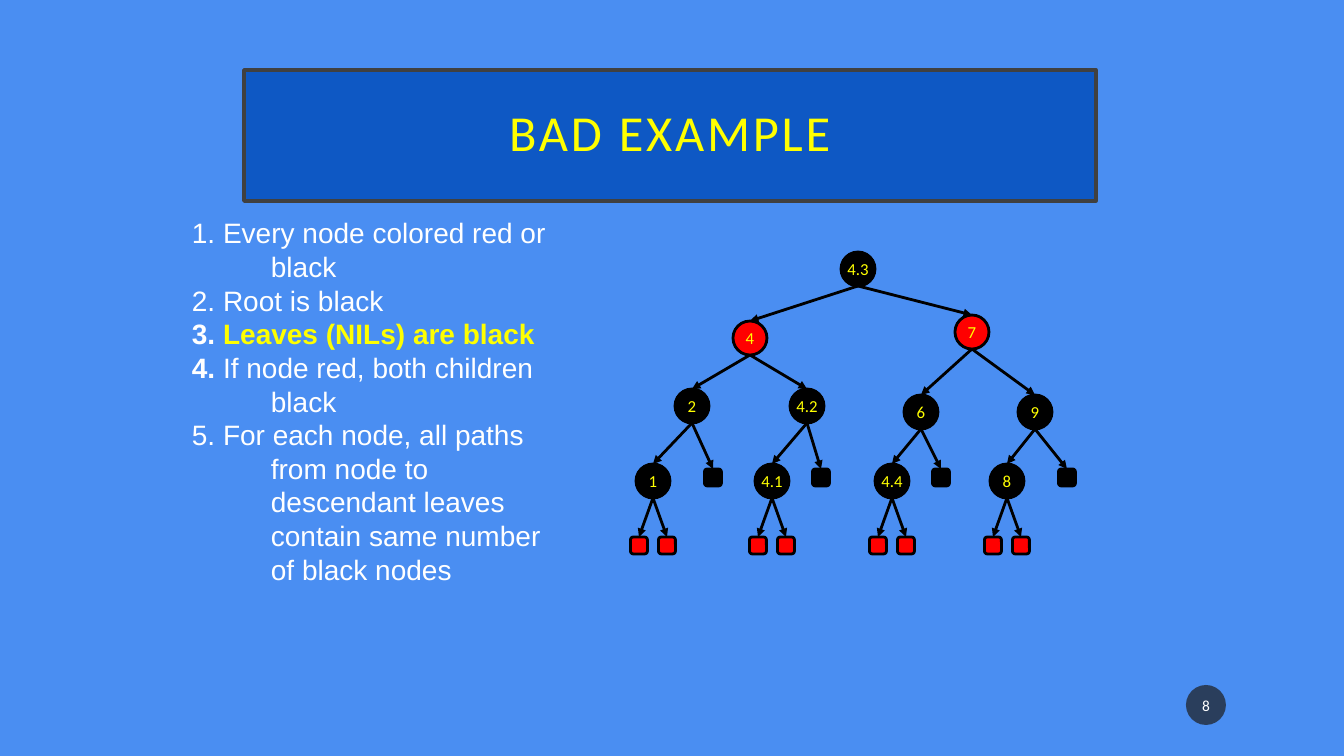
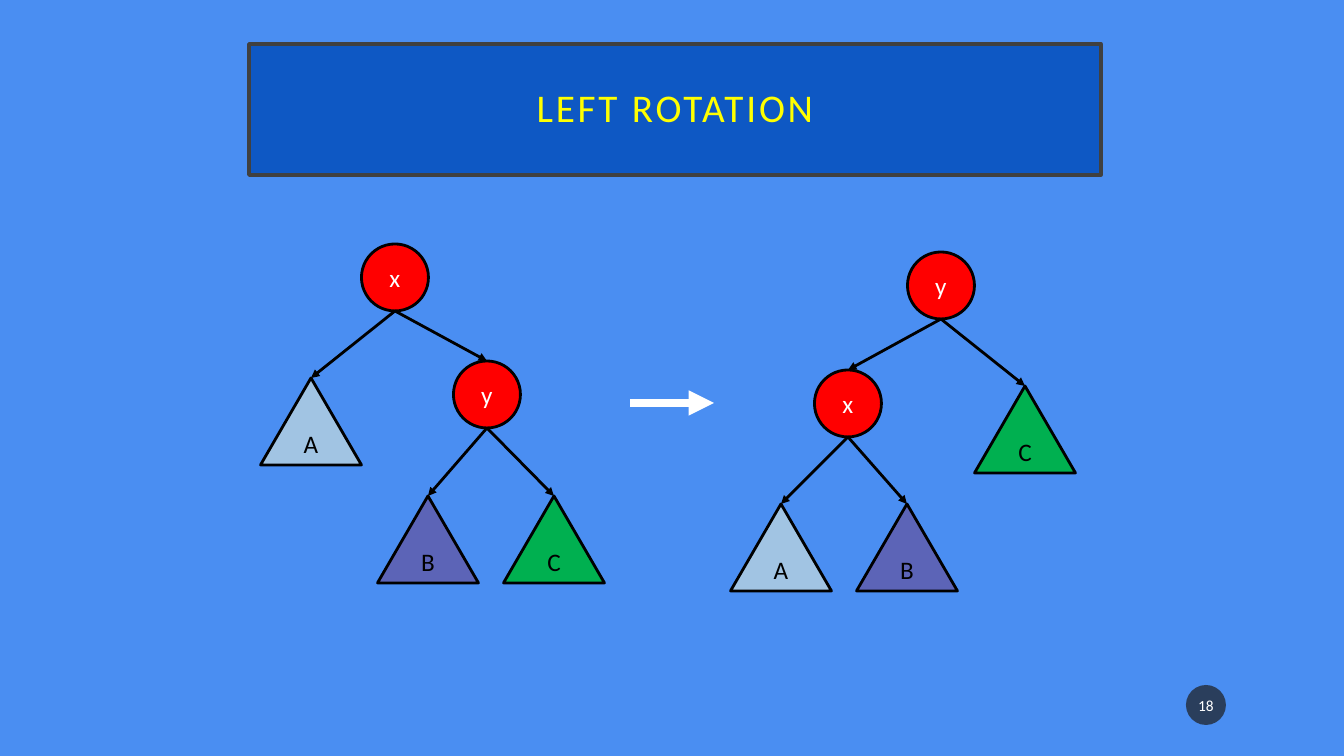
import lxml.etree
import pptx
import pptx.dml.color
import pptx.enum.shapes
import pptx.enum.text
import pptx.oxml.ns
import pptx.util

SCALE = 914400 / 100.8
BACKGROUND, BAND, BAND_LINE = "4A8EF2", "0E58C4", "404040"
BLACK, RED, WHITE, YELLOW, BADGE = "000000", "FF0000", "FFFFFF", "FFFF00", "1D1D1D"
LINE_WIDTH = 2

SHAPES = pptx.enum.shapes.MSO_SHAPE
ALIGN = pptx.enum.text.PP_ALIGN
MIDDLE = pptx.enum.text.MSO_ANCHOR.MIDDLE

# Node style: preset, width, height, fill, text colour, text size
STYLES = {
    "black": (SHAPES.OVAL, 34, 34, BLACK, YELLOW, 12),
    "red": (SHAPES.OVAL, 34, 34, RED, YELLOW, 12),
    "black leaf": (SHAPES.ROUNDED_RECTANGLE, 17, 17, BLACK, YELLOW, 12),
    "red leaf": (SHAPES.ROUNDED_RECTANGLE, 17, 17, RED, YELLOW, 12),
    "rotated": (SHAPES.OVAL, 67, 67, RED, WHITE, 18),
    "A": (SHAPES.ISOSCELES_TRIANGLE, 101, 87, "A1C4E3", BLACK, 18),
    "B": (SHAPES.ISOSCELES_TRIANGLE, 101, 87, "5C64B7", BLACK, 18),
    "C": (SHAPES.ISOSCELES_TRIANGLE, 101, 87, "00B050", BLACK, 18),
}

# Rules: runs of text, bold, colour
RULES = [
    [("1. Every node colored red or black", False, WHITE)],
    [("2. Root is black", False, WHITE)],
    [("3. ", True, WHITE), ("Leaves (NILs) are black", True, YELLOW)],
    [("4. ", True, WHITE), ("If node red, both children black", False, WHITE)],
    [("5. For each node, all paths from node to descendant leaves contain "
      "same number of black nodes", False, WHITE)],
]


def lowest_node(label, x):
    """Return a bottom-row node with its two red leaves."""
    leaves = [("", "red leaf", x + side, 537, []) for side in (-14, 14)]
    return (label, "black", x, 464, leaves)


def inner_node(label, x, top, lowest_label, lowest_x, leaf_x):
    """Return a node with a bottom-row child and a black leaf."""
    return (label, "black", x, top, [lowest_node(lowest_label, lowest_x),
                                     ("", "black leaf", leaf_x, 469, [])])


# Tree node: label, style, centre, top, children
BAD_TREE = ("4.3", "black", 858, 252, [
    ("4", "red", 750, 321, [
        inner_node("2", 692, 389, "1", 653, 713),
        inner_node("4.2", 807, 389, "4.1", 772, 821)]),
    ("7", "red", 972, 315, [
        inner_node("6", 921, 395, "4.4", 892, 941),
        inner_node("9", 1035, 395, "8", 1007, 1067)]),
])
TREE_BEFORE = ("x", "rotated", 395, 244, [
    ("A", "A", 311, 378, []),
    ("y", "rotated", 487, 361, [
        ("B", "B", 428, 496, []), ("C", "C", 554, 496, [])]),
])
TREE_AFTER = ("y", "rotated", 941, 252, [
    ("x", "rotated", 848, 370, [
        ("A", "A", 781, 504, []), ("B", "B", 907, 504, [])]),
    ("C", "C", 1025, 386, []),
])


def px(*lengths):
    """Turn pixel lengths into a list of EMU."""
    return [pptx.util.Emu(round(length * SCALE)) for length in lengths]


def color(value):
    """Turn a hex string into a colour."""
    return pptx.dml.color.RGBColor.from_string(value)


def paint(shape, fill, line=None, width=LINE_WIDTH):
    """Set fill and outline of a shape."""
    shape.fill.solid()
    shape.fill.fore_color.rgb = color(fill)
    if line:
        shape.line.color.rgb = color(line)
        shape.line.width = pptx.util.Pt(width)
    else:
        shape.line.fill.background()


def write(shape, text, size, text_color):
    """Write one centred Calibri paragraph and return it."""
    shape.text_frame.text = text
    shape.text_frame.vertical_anchor = MIDDLE
    paragraph = shape.text_frame.paragraphs[0]
    paragraph.alignment = ALIGN.CENTER
    paragraph.font.name = "Calibri"
    paragraph.font.size = pptx.util.Pt(size)
    paragraph.font.color.rgb = color(text_color)
    return paragraph


def set_margins(frame, horizontal, vertical):
    """Set the text margins in inches."""
    frame.margin_left = frame.margin_right = pptx.util.Inches(horizontal)
    frame.margin_top = frame.margin_bottom = pptx.util.Inches(vertical)


def add_shape(slide, preset, box, fill, line=None):
    """Add a flat preset shape."""
    shape = slide.shapes.add_shape(preset, *px(*box))
    shape.shadow.inherit = False
    paint(shape, fill, line)
    return shape


def add_arrow(slide, start, end, line=BLACK, width=LINE_WIDTH):
    """Add a straight arrow between two points."""
    arrow = slide.shapes.add_connector(
        pptx.enum.shapes.MSO_CONNECTOR.STRAIGHT, *px(*start, *end))
    arrow.line.color.rgb = color(line)
    arrow.line.width = pptx.util.Pt(width)
    qn = pptx.oxml.ns.qn
    outline = arrow.line._get_or_add_ln()
    lxml.etree.SubElement(outline, qn("a:tailEnd"), type="triangle")
    lxml.etree.SubElement(arrow._element.spPr, qn("a:effectLst"))


def add_tree(slide, node):
    """Draw a node, its subtrees and the arrows to them."""
    label, style, x, top, children = node
    preset, width, height, fill, text_color, size = STYLES[style]
    shape = add_shape(slide, preset, (x - width / 2, top, width, height), fill, BLACK)
    if label:
        write(shape, label, size, text_color)
        shape.text_frame.word_wrap = False
    for child in children:
        add_tree(slide, child)
        add_arrow(slide, (x, top + height), (child[2], child[3]))


def add_slide(presentation, title_text, size, left, top, number):
    """Add a slide with its title band and number badge."""
    slide = presentation.slides.add_slide(presentation.slide_layouts[5])
    badge = add_shape(slide, SHAPES.OVAL, (1186, 685, 40, 40), BADGE)
    write(badge, number, 11, WHITE)
    set_margins(badge.text_frame, 0.02, 0.05)
    qn = pptx.oxml.ns.qn
    badge_color = badge._element.spPr.find(qn("a:solidFill"))[0]
    lxml.etree.SubElement(badge_color, qn("a:alpha"), val="70000")

    title = slide.shapes.title
    title.left, title.top, title.width, title.height = px(left, top, 852, 131)
    paint(title, BAND, BAND_LINE, 2.5)
    paragraph = write(title, title_text, size, YELLOW)
    paragraph.line_spacing = 0.9
    paragraph._p.pPr.find(qn("a:defRPr")).set("spc", "200")
    title.text_frame.auto_size = pptx.enum.text.MSO_AUTO_SIZE.NONE
    set_margins(title.text_frame, 0.2, 0.2)
    return slide


def add_rules(slide):
    """Add the rules with hanging indents."""
    frame = slide.shapes.add_textbox(*px(182, 211, 382, 479)).text_frame
    frame.word_wrap = True
    hanging = px(79)[0]
    for index, runs in enumerate(RULES):
        paragraph = frame.add_paragraph() if index else frame.paragraphs[0]
        paragraph.line_spacing = pptx.util.Pt(24)
        paragraph.font.name = "Arial"
        paragraph.font.size = pptx.util.Pt(20)
        paragraph._p.pPr.set("marL", str(hanging))
        paragraph._p.pPr.set("indent", str(-hanging))
        for text, bold, text_color in runs:
            run = paragraph.add_run()
            run.text = text
            run.font.bold = bold
            run.font.color.rgb = color(text_color)


presentation = pptx.Presentation()
presentation.slide_width, presentation.slide_height = px(1344, 756)
background = presentation.slide_master.background.fill
background.solid()
background.fore_color.rgb = color(BACKGROUND)

bad_example = add_slide(presentation, "BAD EXAMPLE", 36, 244, 70, "8")
add_tree(bad_example, BAD_TREE)
add_rules(bad_example)

left_rotation = add_slide(presentation, "LEFT ROTATION", 28, 249, 44, "18")
add_tree(left_rotation, TREE_AFTER)
add_tree(left_rotation, TREE_BEFORE)
add_arrow(left_rotation, (630, 403), (714, 403), WHITE, 6)

presentation.save("out.pptx")
